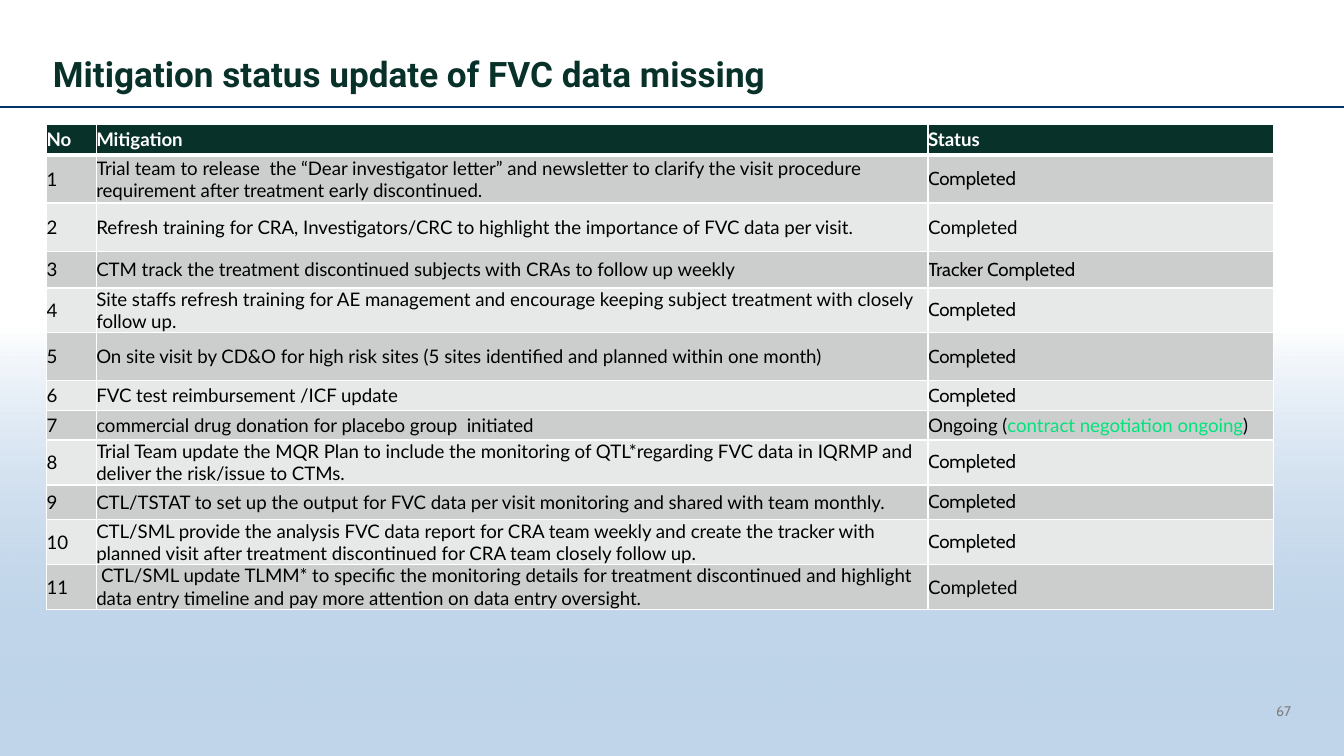
from dataclasses import dataclass

from lxml.etree import SubElement
from pptx import Presentation
from pptx.dml.color import RGBColor
from pptx.enum.shapes import MSO_CONNECTOR, MSO_SHAPE
from pptx.enum.text import MSO_ANCHOR, MSO_AUTO_SIZE, PP_ALIGN
from pptx.oxml.ns import qn
from pptx.util import Cm, Pt


@dataclass(frozen=True)
class Theme:
    dark: str = "08312A"
    white: str = "FFFFFF"
    black: str = "000000"
    band_odd: str = "CCCECD"
    band_even: str = "E7E8E8"
    accent: str = "00E47C"
    rule: str = "003366"
    haze: str = "6699CC"
    muted: str = "808080"
    title_font: str = "Roboto"
    body_font: str = "Lato"
    status_font: str = "Cabin"
    title_size: float = 18.8
    body_size: float = 10
    number_size: float = 7.5


THEME = Theme()

HEADERS = ("No", "Mitigation", "Status")
COLUMN_WIDTHS = (0.94, 15.72, 6.53)
HEADER_HEIGHT = 0.58
DONE = (("Completed", THEME.black),)
TRACKED = (("Tracker Completed", THEME.black),)
ONGOING = (
    ("Ongoing (", THEME.black),
    ("contract negotiation ongoing", THEME.accent),
    (")", THEME.black),
)

# Row height in cm, mitigation, status spans, status font
MITIGATIONS = (
    (0.91, "Trial team to release  the “Dear investigator letter” and newsletter to clarify "
     "the visit procedure requirement after treatment early discontinued.",
     DONE, THEME.status_font),
    (0.91, "Refresh training for CRA, Investigators/CRC to highlight the importance of "
     "FVC data per visit.", DONE, THEME.body_font),
    (0.69, "CTM track the treatment discontinued subjects with CRAs to follow up weekly",
     TRACKED, THEME.status_font),
    (0.71, "Site staffs refresh training for AE management and encourage keeping subject "
     "treatment with closely follow up.", DONE, THEME.status_font),
    (0.91, "On site visit by CD&O for high risk sites (5 sites identified and planned "
     "within one month)", DONE, THEME.status_font),
    (0.56, "FVC test reimbursement /ICF update", DONE, THEME.status_font),
    (0.56, "commercial drug donation for placebo group  initiated",
     ONGOING, THEME.body_font),
    (0.84, "Trial Team update the MQR Plan to include the monitoring of QTL*regarding FVC "
     "data in IQRMP and deliver the risk/issue to CTMs.", DONE, THEME.status_font),
    (0.66, "CTL/TSTAT to set up the output for FVC data per visit monitoring and shared "
     "with team monthly.", DONE, THEME.status_font),
    (0.84, "CTL/SML provide the analysis FVC data report for CRA team weekly and create "
     "the tracker with planned visit after treatment discontinued for CRA team closely "
     "follow up.", DONE, THEME.status_font),
    (0.84, " CTL/SML update TLMM* to specific the monitoring details for treatment "
     "discontinued and highlight data entry timeline and pay more attention on data entry "
     "oversight.", DONE, THEME.body_font),
)


def color(value):
    return RGBColor.from_string(value)


def format_font(font, name, size, value, bold=False):
    font.name = name
    font.size = Pt(size)
    font.bold = bold
    font.color.rgb = color(value)


def clear_margins(frame):
    frame.margin_left = frame.margin_top = frame.margin_right = frame.margin_bottom = 0


def add_background(page, box):
    """Blue haze that fades upwards to white."""
    haze = page.shapes.add_shape(MSO_SHAPE.RECTANGLE, *box)
    haze.shadow.inherit = False
    haze.line.fill.background()
    haze.fill.gradient()
    haze.fill.gradient_angle = 90
    for stop, value, position in zip(
        haze.fill.gradient_stops, (THEME.haze, THEME.white), (0, 1)
    ):
        stop.color.rgb = color(value)
        stop.position = position
    first_color = next(haze.element.iter(qn("a:srgbClr")))
    SubElement(first_color, qn("a:alpha"), val="40000")


def add_rule(page, left, top, width):
    rule = page.shapes.add_connector(MSO_CONNECTOR.STRAIGHT, left, top, left + width, top)
    rule.line.color.rgb = color(THEME.rule)
    rule.line.width = Pt(1)
    SubElement(rule.element.spPr, qn("a:effectLst"))


def place_title(page, box, text):
    title = page.shapes.title
    title.left, title.top, title.width, title.height = box
    frame = title.text_frame
    clear_margins(frame)
    frame.auto_size = MSO_AUTO_SIZE.NONE
    frame.vertical_anchor = MSO_ANCHOR.TOP
    frame.text = text
    para = frame.paragraphs[0]
    para.alignment = PP_ALIGN.LEFT
    format_font(para.runs[0].font, THEME.title_font, THEME.title_size, THEME.dark, True)


def add_page_number(page, box, text):
    frame = page.shapes.add_textbox(*box).text_frame
    clear_margins(frame)
    frame.word_wrap = True
    frame.vertical_anchor = MSO_ANCHOR.BOTTOM
    frame.text = text
    para = frame.paragraphs[0]
    para.alignment = PP_ALIGN.RIGHT
    format_font(para.runs[0].font, THEME.status_font, THEME.number_size, THEME.muted)


def add_borders(cell, top=1, bottom=1):
    properties = cell._tc.get_or_add_tcPr()
    for side, points in (("lnL", 1), ("lnR", 1), ("lnT", top), ("lnB", bottom)):
        line = SubElement(properties, qn(f"a:{side}"), w=str(Pt(points)))
        fill = SubElement(line, qn("a:solidFill"))
        SubElement(fill, qn("a:srgbClr"), val=THEME.white)


def fill_cell(cell, spans, background, font=THEME.body_font, bold=False):
    clear_margins(cell)
    cell.vertical_anchor = MSO_ANCHOR.MIDDLE
    cell.fill.solid()
    cell.fill.fore_color.rgb = color(background)
    para = cell.text_frame.paragraphs[0]
    for text, value in spans:
        span = para.add_run()
        span.text = text
        format_font(span.font, font, THEME.body_size, value, bold)


def add_mitigation_table(page, box):
    table = page.shapes.add_table(len(MITIGATIONS) + 1, len(HEADERS), *box).table
    for column, width in zip(table.columns, COLUMN_WIDTHS):
        column.width = Cm(width)

    # Header row with a heavier lower border
    table.rows[0].height = Cm(HEADER_HEIGHT)
    for cell, text in zip(table.rows[0].cells, HEADERS):
        add_borders(cell, bottom=3)
        fill_cell(cell, ((text, THEME.white),), THEME.dark, bold=True)

    # Banded body rows
    for number, (height, action, status, status_font) in enumerate(MITIGATIONS, 1):
        row = table.rows[number]
        row.height = Cm(height)
        band = THEME.band_odd if number % 2 else THEME.band_even
        contents = (
            (((str(number), THEME.black),), THEME.body_font),
            (((action, THEME.black),), THEME.body_font),
            (status, status_font),
        )
        for cell, (spans, font) in zip(row.cells, contents):
            add_borders(cell, top=3 if number == 1 else 1)
            fill_cell(cell, spans, band, font)


def main():
    deck = Presentation()
    deck.slide_width, deck.slide_height = Cm(25.4), Cm(14.29)
    page = deck.slides.add_slide(deck.slide_layouts[5])

    haze_top = Cm(6.1)
    add_background(page, (0, haze_top, deck.slide_width, deck.slide_height - haze_top))
    add_rule(page, 0, Cm(2.02), deck.slide_width)
    place_title(page, (Cm(1), Cm(1), Cm(23.4), Cm(1.5)),
                "Mitigation status update of FVC data missing")
    table_height = HEADER_HEIGHT + sum(row[0] for row in MITIGATIONS)
    add_mitigation_table(
        page, (Cm(0.88), Cm(2.35), Cm(sum(COLUMN_WIDTHS)), Cm(table_height)))
    add_page_number(page, (Cm(23.8), Cm(13), Cm(0.6), Cm(0.6)), "67")
    deck.save("out.pptx")


if __name__ == "__main__":
    main()
